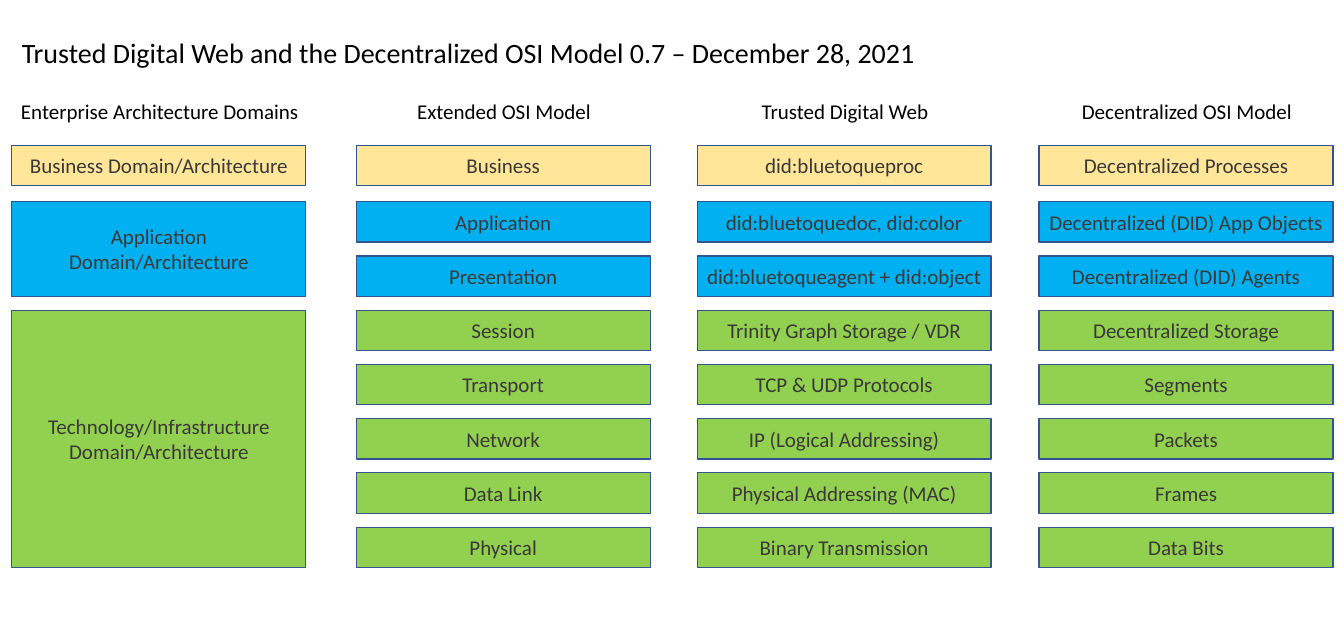
from pptx import Presentation
from pptx.dml.color import RGBColor
from pptx.enum.shapes import MSO_SHAPE
from pptx.enum.text import MSO_ANCHOR, PP_ALIGN
from pptx.util import Cm, Pt

RECTANGLE = MSO_SHAPE.RECTANGLE
MIDDLE = MSO_ANCHOR.MIDDLE
LEFT, CENTER = PP_ALIGN.LEFT, PP_ALIGN.CENTER

BLACK = RGBColor(0x00, 0x00, 0x00)
DARK_GRAY = RGBColor(0x3B, 0x38, 0x38)
NAVY = RGBColor(0x32, 0x54, 0x91)
YELLOW = RGBColor(0xFF, 0xE6, 0x99)
BLUE = RGBColor(0x00, 0xB0, 0xF0)
GREEN = RGBColor(0x92, 0xD0, 0x50)

# All lengths are in centimetres
COLUMN_LEFTS = [0.36, 10.77, 21.08, 31.42]
BOX_W, BOX_H = 8.89, 1.22
HEADER_TOP, HEADER_W, HEADER_H = 2.46, 8.94, 1.8
PITCH = 1.64
ROW_TOPS = [4.39] + [6.1 + PITCH * i for i in range(7)]
ROW_FILLS = [YELLOW] + [BLUE] * 2 + [GREEN] * 5

HEADERS = ["Enterprise Architecture Domains", "Extended OSI Model",
           "Trusted Digital Web", "Decentralized OSI Model"]
# Text, first row, number of rows
DOMAINS = [
    ("Business Domain/Architecture", 0, 1),
    ("Application\nDomain/Architecture", 1, 2),
    ("Technology/Infrastructure\nDomain/Architecture", 3, 5),
]
LAYERS = [
    ("Business", "did:bluetoqueproc", "Decentralized Processes"),
    ("Application", "did:bluetoquedoc, did:color", "Decentralized (DID) App Objects"),
    ("Presentation", "did:bluetoqueagent + did:object", "Decentralized (DID) Agents"),
    ("Session", "Trinity Graph Storage / VDR", "Decentralized Storage"),
    ("Transport", "TCP & UDP Protocols", "Segments"),
    ("Network", "IP (Logical Addressing)", "Packets"),
    ("Data Link", "Physical Addressing (MAC)", "Frames"),
    ("Physical", "Binary Transmission", "Data Bits"),
]

prs = Presentation()
prs.slide_width, prs.slide_height = Cm(40.64), Cm(19.05)
s = prs.slides.add_slide(prs.slide_layouts[6])


def add_text(text, left, top, width, height, *, fill=None, color=BLACK,
             size=18, align=CENTER):
    """Add a text box, or an outlined rectangle when a fill is given."""
    box = Cm(left), Cm(top), Cm(width), Cm(height)
    if fill is None:
        sp = s.shapes.add_textbox(*box)
    else:
        sp = s.shapes.add_shape(RECTANGLE, *box)
        sp.shadow.inherit = False
        sp.fill.solid()
        sp.fill.fore_color.rgb = fill
        sp.line.color.rgb = NAVY
        sp.line.width = Pt(1)
    tf = sp.text_frame
    tf.word_wrap = True
    tf.vertical_anchor = MIDDLE
    tf.text = text
    for p in tf.paragraphs:
        p.alignment = align
        for r in p.runs:
            r.font.name = "Calibri"
            r.font.size = Pt(size)
            r.font.color.rgb = color


add_text("Trusted Digital Web and the Decentralized OSI Model 0.7 – December 28, 2021",
         0.41, 0.69, 39.85, 1.8, size=24, align=LEFT)

for header, left in zip(HEADERS, COLUMN_LEFTS):
    add_text(header, left, HEADER_TOP, HEADER_W, HEADER_H)

for domain, row, span in DOMAINS:
    add_text(domain, COLUMN_LEFTS[0], ROW_TOPS[row], BOX_W, BOX_H + PITCH * (span - 1),
             fill=ROW_FILLS[row], color=DARK_GRAY)

for layer, top, fill in zip(LAYERS, ROW_TOPS, ROW_FILLS):
    for label, left in zip(layer, COLUMN_LEFTS[1:]):
        add_text(label, left, top, BOX_W, BOX_H, fill=fill, color=DARK_GRAY)

prs.save("out.pptx")
